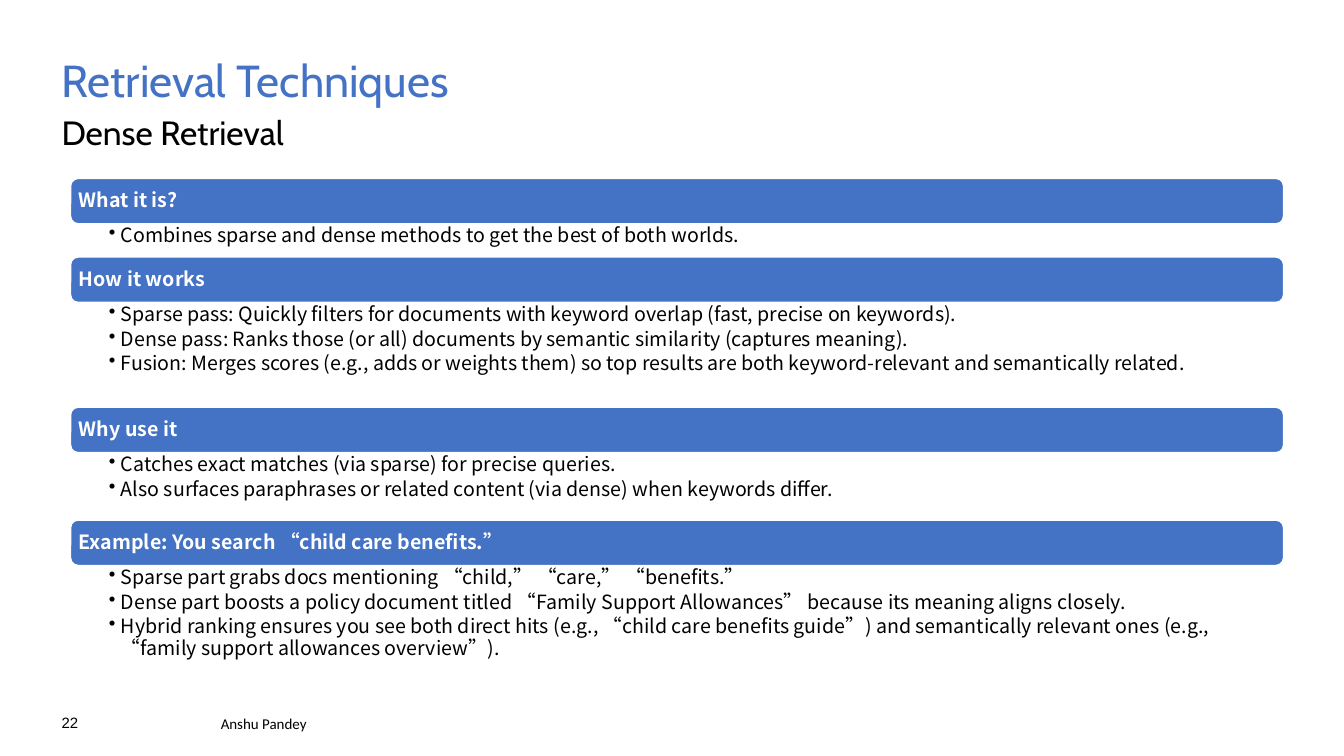
from lxml import etree
from pptx import Presentation
from pptx.dml.color import RGBColor
from pptx.enum.shapes import MSO_SHAPE as Preset
from pptx.enum.text import MSO_ANCHOR as Anchor, PP_ALIGN as Align
from pptx.oxml.ns import qn
from pptx.util import Inches, Pt

BLUE = RGBColor(0x44, 0x72, 0xC4)
WHITE = RGBColor(0xFF, 0xFF, 0xFF)
BLACK = RGBColor(0x00, 0x00, 0x00)

WIDTH, HEIGHT = Inches(13.33), Inches(7.5)
COLUMN, ROW = WIDTH / 100, HEIGHT / 100

HEADING_FONT = "Cabin"
BODY_FONT = "Noto Sans CJK TC"
MARGIN = 4.58
BAND_LEFT, BAND_WIDTH, BAND_HEIGHT = 5.25, 90.25, 6
FIRST_BAND = 23.6

SECTIONS = [
    ("What it is?", 4.4, [
        "Combines sparse and dense methods to get the best of both worlds.",
    ]),
    ("How it works", 13.87, [
        "Sparse pass: Quickly filters for documents with keyword overlap (fast, precise on keywords).",
        "Dense pass: Ranks those (or all) documents by semantic similarity (captures meaning).",
        "Fusion: Merges scores (e.g., adds or weights them) so top results are both "
        "keyword-relevant and semantically related.",
    ]),
    ("Why use it", 8.93, [
        "Catches exact matches (via sparse) for precise queries.",
        "Also surfaces paraphrases or related content (via dense) when keywords differ.",
    ]),
    ("Example: You search “child care benefits.”", 17.33, [
        "Sparse part grabs docs mentioning “child,” “care,” “benefits.”",
        "Dense part boosts a policy document titled “Family Support Allowances” "
        "because its meaning aligns closely.",
        "Hybrid ranking ensures you see both direct hits (e.g., “child care benefits guide”) "
        "and semantically relevant ones (e.g., “family support allowances overview”).",
    ]),
]


def grid(left, top, width, height):
    return (round(left * COLUMN), round(top * ROW),
            round(width * COLUMN), round(height * ROW))


def set_frame(frame, anchor, insets=(0, 0, 0, 0)):
    frame.word_wrap = True
    frame.vertical_anchor = anchor
    (frame.margin_left, frame.margin_top,
     frame.margin_right, frame.margin_bottom) = map(Inches, insets)


def set_font(paragraph, name, size, color, bold=False):
    font = paragraph.font
    font.name, font.size, font.bold = name, Pt(size), bold
    font.color.rgb = color
    if name == BODY_FONT:
        defaults = paragraph._p.pPr.find(qn("a:defRPr"))
        etree.SubElement(defaults, qn("a:ea"), typeface=name)


def add_label(slide, text, place, font, size, color, anchor=Anchor.TOP, spacing=1.0):
    frame = slide.shapes.add_textbox(*grid(*place)).text_frame
    set_frame(frame, anchor)
    paragraph = frame.paragraphs[0]
    paragraph.text = text
    paragraph.line_spacing = spacing
    set_font(paragraph, font, size, color)


def add_band(slide, title, top):
    band = slide.shapes.add_shape(
        Preset.ROUNDED_RECTANGLE, *grid(BAND_LEFT, top, BAND_WIDTH, BAND_HEIGHT))
    band.shadow.inherit = False
    band.fill.solid()
    band.fill.fore_color.rgb = BLUE
    band.line.color.rgb = WHITE
    band.line.width = Pt(1)
    set_frame(band.text_frame, Anchor.MIDDLE, (0.06, 0.06, 0.06, 0.06))
    paragraph = band.text_frame.paragraphs[0]
    paragraph.text = title
    paragraph.alignment = Align.LEFT
    paragraph.line_spacing = 0.9
    set_font(paragraph, BODY_FONT, 14, WHITE, bold=True)


def add_bullets(slide, items, top, height):
    frame = slide.shapes.add_textbox(*grid(BAND_LEFT, top, BAND_WIDTH, height)).text_frame
    set_frame(frame, Anchor.TOP, (0.38, 0.02, 0.11, 0.02))
    for index, item in enumerate(items):
        paragraph = frame.add_paragraph() if index else frame.paragraphs[0]
        paragraph.text = item
        paragraph.level = 1
        properties = paragraph._p.get_or_add_pPr()
        properties.set("marL", str(Inches(0.12)))
        properties.set("indent", str(Inches(-0.12)))
        etree.SubElement(properties, qn("a:buChar"), char="•")
        paragraph.line_spacing = 0.9
        paragraph.space_after = Pt(2.5)
        set_font(paragraph, BODY_FONT, 14, BLACK)


def main():
    presentation = Presentation()
    presentation.slide_width, presentation.slide_height = WIDTH, HEIGHT
    slide = presentation.slides.add_slide(presentation.slide_layouts[6])

    add_label(slide, "Retrieval Techniques", (MARGIN, 7.73, 90.92, 6.67),
              HEADING_FONT, 32, BLUE, spacing=0.9)
    add_label(slide, "Dense Retrieval", (MARGIN, 14.8, 90.92, 6.67),
              HEADING_FONT, 24, BLACK)

    top = FIRST_BAND
    for title, height, items in SECTIONS:
        add_band(slide, title, top)
        add_bullets(slide, items, top + BAND_HEIGHT, height)
        top += BAND_HEIGHT + height

    add_label(slide, "22", (MARGIN, 94.4, 2, 2.4), "Arial", 10.7, BLACK, Anchor.BOTTOM)
    add_label(slide, "Anshu Pandey", (16.43, 94.5, 17.33, 2.4),
              "Calibri", 10.7, BLACK, Anchor.BOTTOM)
    presentation.save("out.pptx")


if __name__ == "__main__":
    main()
